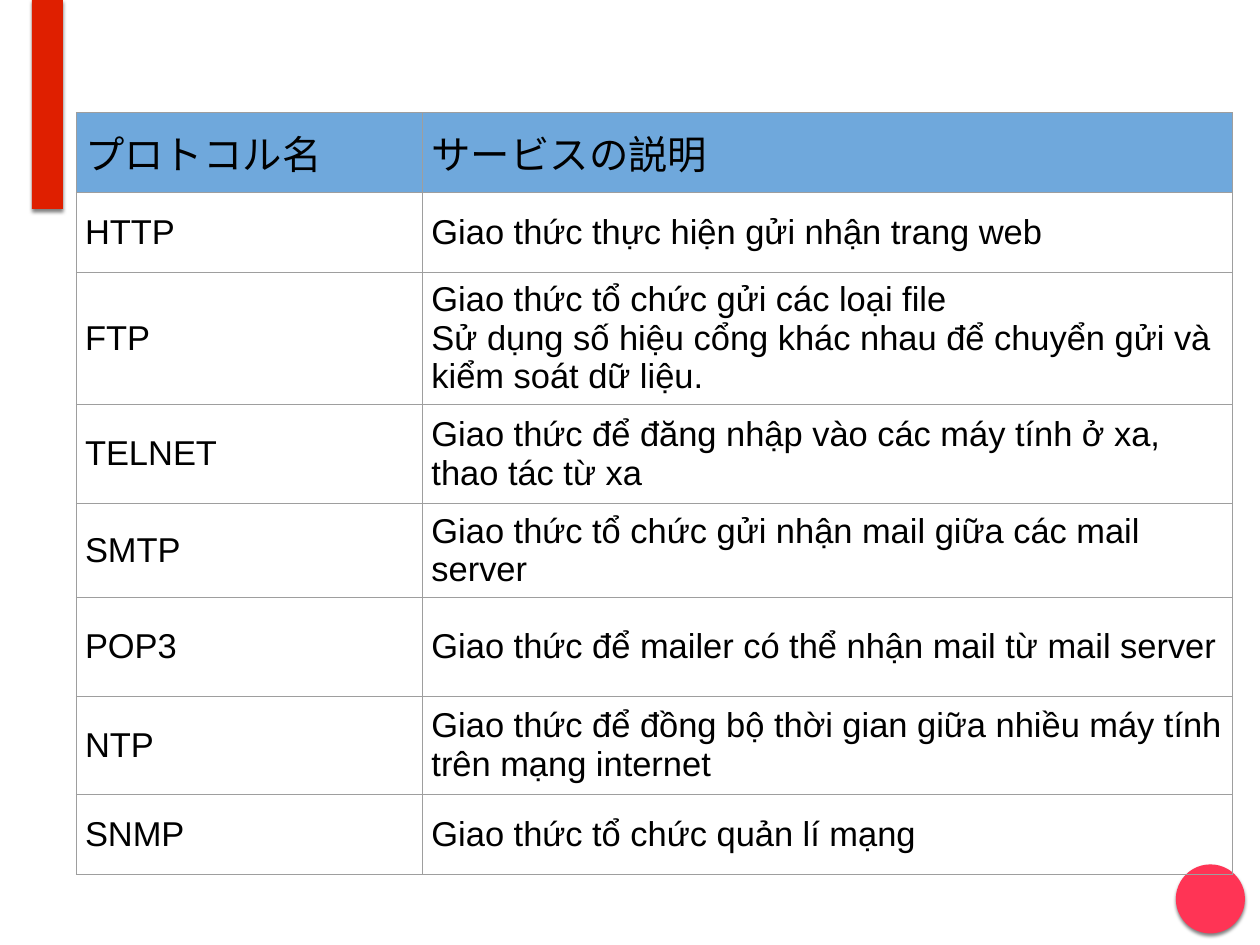
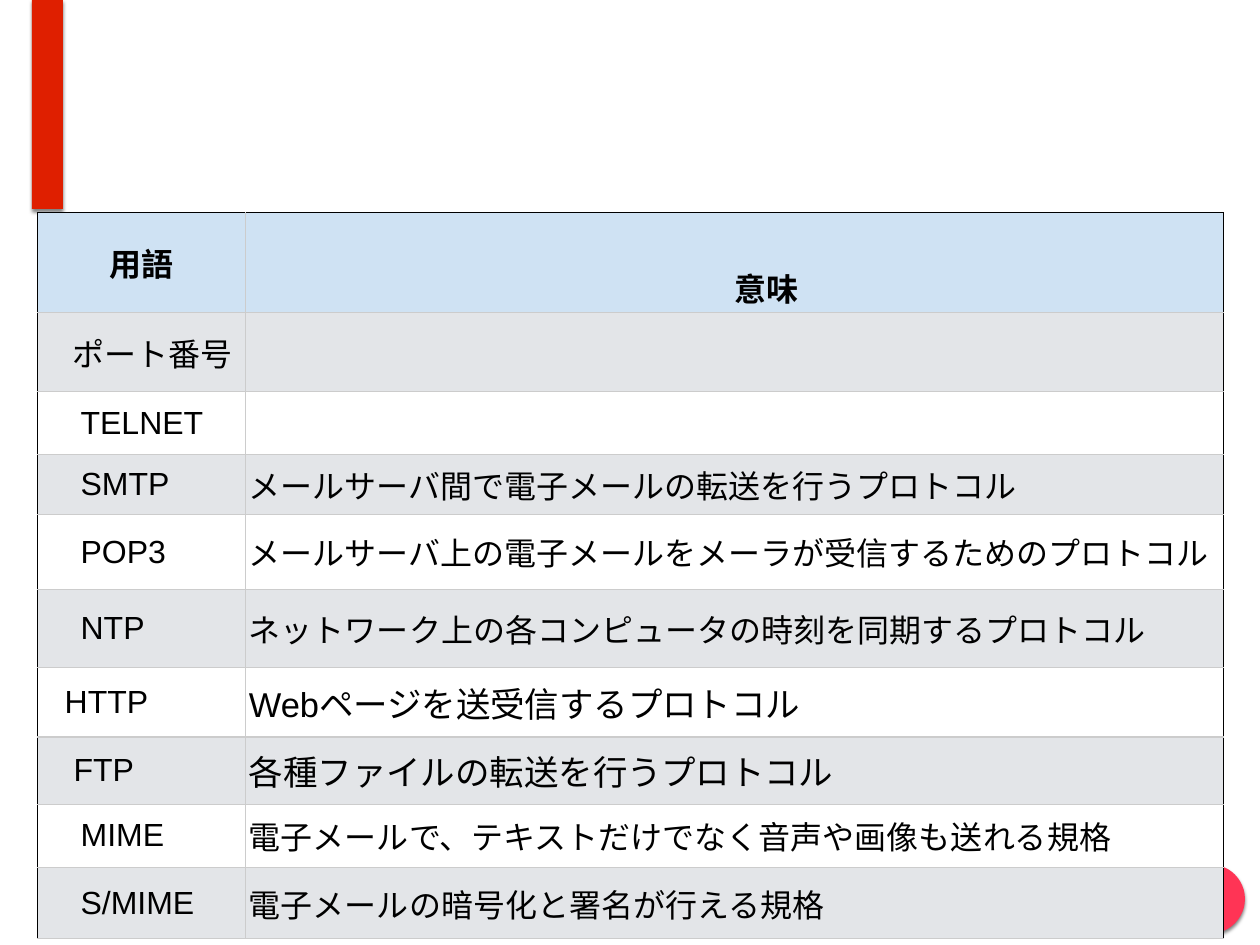
from lxml import etree
from pptx import Presentation
from pptx.dml.color import RGBColor
from pptx.enum import shapes, text
from pptx.oxml import parse_xml
from pptx.oxml.ns import nsdecls
from pptx.util import Inches, Pt

BLACK, WHITE, RED, PINK = "000000", "FFFFFF", "DF1F00", "FF3455"
BLUE, PALE_BLUE, PALE_GREY = "6FA8DC", "CFE2F3", "E3E5E8"
MID_GREY, LIGHT_GREY = "9E9E9E", "CCCCCC"
FONT = "Arial"


def paint(fill, colour):
    fill.solid()
    fill.fore_color.rgb = RGBColor.from_string(colour)


def draw_table(slide, corner, widths, heights, rows, size, margins, fills, line_width, grid, frame):
    """Draw a table; frame gives the outer edges (L, R, T) that differ from grid."""
    left, top = corner
    table = slide.shapes.add_table(
        len(rows), len(widths), Inches(left), Inches(top),
        Inches(sum(widths)), Inches(sum(heights))).table
    table.horz_banding = False
    for column, width in zip(table.columns, widths):
        column.width = Inches(width)
    for r, (row, height, fill) in enumerate(zip(rows, heights, fills)):
        table.rows[r].height = Inches(height)
        for c, words in enumerate(row):
            cell = table.cell(r, c)
            outer = {"L": c == 0, "R": c == len(widths) - 1, "T": r == 0, "B": False}
            properties = cell._tc.get_or_add_tcPr()
            for side, is_outer in outer.items():
                colour = frame.get(side, grid) if is_outer else grid
                properties.append(parse_xml(
                    f'<a:ln{side} {nsdecls("a")} w="{Pt(line_width)}"><a:solidFill>'
                    f'<a:srgbClr val="{colour}"/></a:solidFill></a:ln{side}>'))
            if fill:
                paint(cell.fill, fill)
            else:
                cell.fill.background()
            cell.margin_left = cell.margin_right = Inches(margins[0])
            cell.margin_top = cell.margin_bottom = Inches(margins[1])
            cell.vertical_anchor = text.MSO_ANCHOR.MIDDLE
            cell.text_frame.text = words
            for paragraph in cell.text_frame.paragraphs:
                for run in paragraph.runs:
                    run.font.name = FONT
                    run.font.size = Pt(size)
                    run.font.bold = False
                    run.font.color.rgb = RGBColor.from_string(BLACK)
    return table


prs = Presentation()
prs.slide_width, prs.slide_height = Inches(14.22), Inches(10.67)
blank = prs.slide_layouts[6]
for placeholder in list(blank.placeholders):
    blank.shapes.element.remove(placeholder.element)

services = prs.slides.add_slide(blank)
terms = prs.slides.add_slide(blank)

# Red band and pink disc, moved to the layout that both slides use
for preset, box, colour in [
    (shapes.MSO_SHAPE.OVAL, (13.27, 9.76, 0.78, 0.78), PINK),
    (shapes.MSO_SHAPE.RECTANGLE, (0.36, 0, 0.35, 2.36), RED),
]:
    ornament = services.shapes.add_shape(preset, *map(Inches, box))
    paint(ornament.fill, colour)
    ornament.line.fill.background()
    ornament.shadow.inherit = False
    effects = ornament.element.spPr.find("{*}effectLst")
    effects.append(parse_xml(
        f'<a:outerShdw {nsdecls("a")} blurRad="{Pt(3)}" dist="{Pt(2)}" dir="5400000" '
        f'rotWithShape="0"><a:srgbClr val="{BLACK}"><a:alpha val="50000"/></a:srgbClr>'
        '</a:outerShdw>'))
    blank.shapes.element.append(ornament.element)

# Slide 1: protocols and their services
service_rows = [
    ("プロトコル名", "サービスの説明"),
    ("HTTP", "Giao thức thực hiện gửi nhận trang web"),
    ("FTP", "Giao thức tổ chức gửi các loại file\n"
            "Sử dụng số hiệu cổng khác nhau để chuyển gửi và kiểm soát dữ liệu."),
    ("TELNET", "Giao thức để đăng nhập vào các máy tính ở xa, thao tác từ xa"),
    ("SMTP", "Giao thức tổ chức gửi nhận mail giữa các mail server"),
    ("POP3", "Giao thức để mailer có thể nhận mail từ mail server"),
    ("NTP", "Giao thức để đồng bộ thời gian giữa nhiều máy tính trên mạng internet"),
    ("SNMP", "Giao thức tổ chức quản lí mạng"),
]
service_table = draw_table(
    services, (0.86, 1.27), (3.91, 9.14), (0.9, 0.9, 1.5, 1.11, 1.06, 1.11, 1.11, 0.9),
    service_rows, 28, (0.1, 0.1), [BLUE] + [None] * 7, 0.75, MID_GREY, {})
for heading in service_table.rows[0].cells:
    heading.text_frame.paragraphs[0].runs[0].font.size = Pt(32)

# Slide 2: terms and meanings
term_rows = [
    ("用語", "意味"),
    ("ポート番号", ""),
    ("TELNET", ""),
    ("SMTP", "メールサーバ間で電子メールの転送を行うプロトコル"),
    ("POP3", "メールサーバ上の電子メールをメーラが受信するためのプロトコル"),
    ("NTP", "ネットワーク上の各コンピュータの時刻を同期するプロトコル"),
    ("HTTP", "Webページを送受信するプロトコル"),
    ("FTP", "各種ファイルの転送を行うプロトコル"),
    ("MIME", "電子メールで、テキストだけでなく音声や画像も送れる規格"),
    ("S/MIME", "電子メールの暗号化と署名が行える規格"),
]
stripes = [PALE_GREY if i % 2 == 0 else WHITE for i in range(len(term_rows) - 1)]
term_table = draw_table(
    terms, (0.42, 2.4), (2.35, 11.04),
    (1.13, 0.89, 0.71, 0.68, 0.84, 0.89, 0.78, 0.76, 0.71, 0.81),
    term_rows, 26, (0.04, 0.03), [PALE_BLUE] + stripes, 1, LIGHT_GREY,
    {"L": BLACK, "R": BLACK, "T": BLACK})

for heading in term_table.rows[0].cells:
    title = heading.text_frame.paragraphs[0]
    title.alignment = text.PP_ALIGN.CENTER
    title.runs[0].font.bold = True
meaning = term_table.cell(0, 1).text_frame.paragraphs[0]
meaning.line_spacing = 2.05
meaning._p.get_or_add_pPr().set("marL", str(Inches(0.72)))

indents = {"ポート番号": 0.36, "HTTP": 0.27, "FTP": 0.37}
for r, (term, _) in enumerate(term_rows[1:], start=1):
    name = term_table.cell(r, 0).text_frame.paragraphs[0]
    name._p.get_or_add_pPr().set("marL", str(Inches(indents.get(term, 0.45))))
    if term in ("HTTP", "FTP"):
        term_table.cell(r, 1).text_frame.paragraphs[0].runs[0].font.size = Pt(28)

prs.save("out.pptx")
